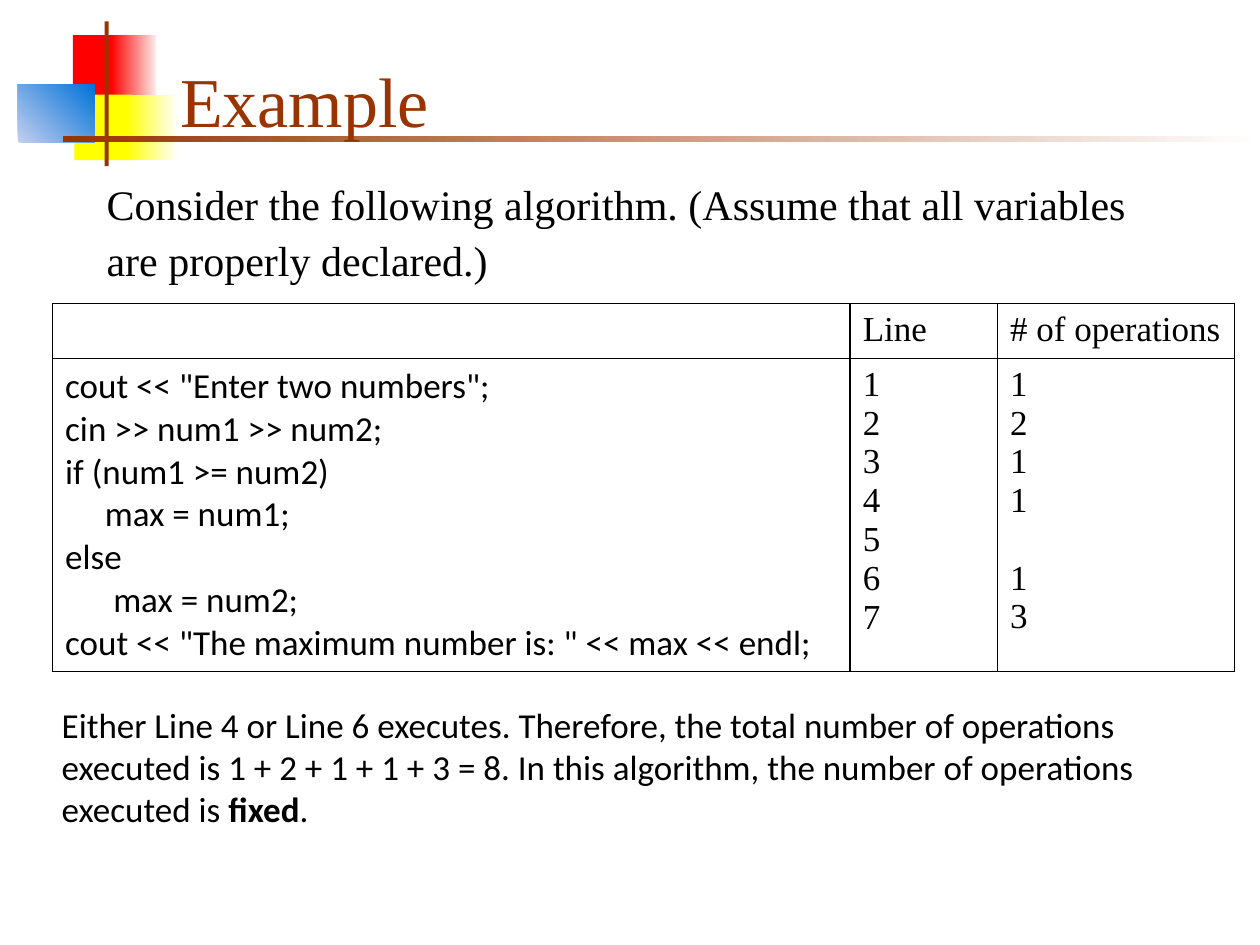
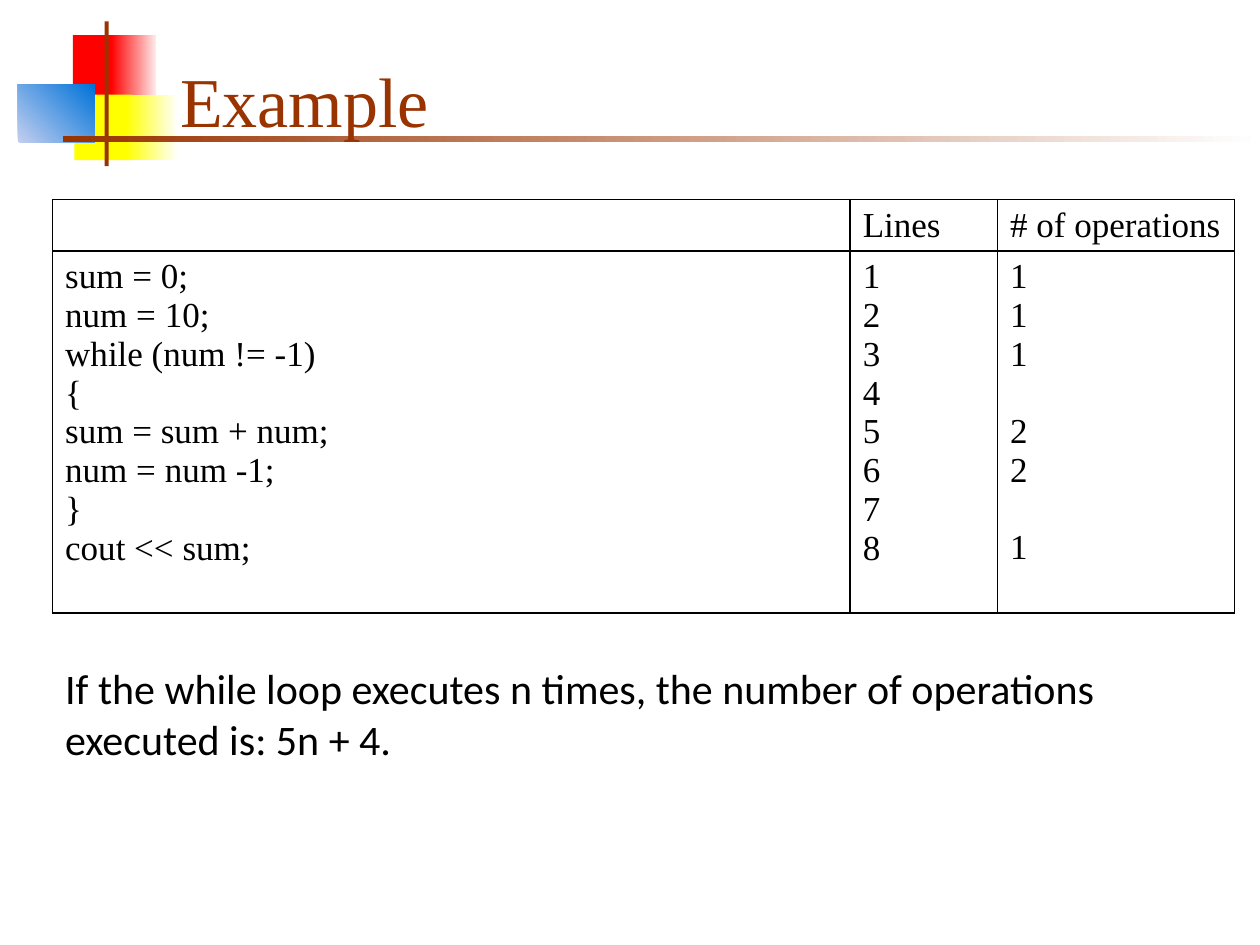
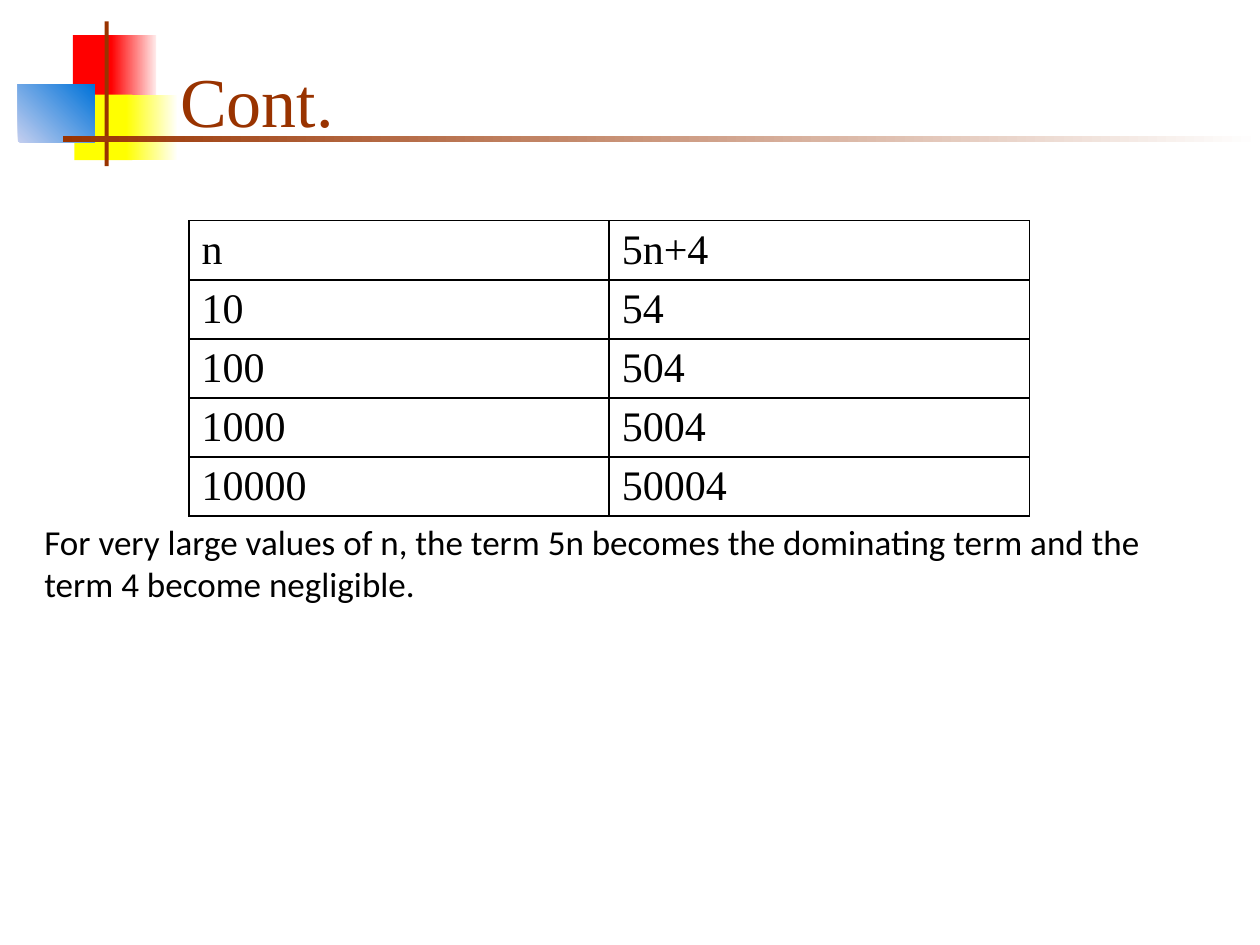
"""Build three slides that count the operations of simple algorithms."""
from lxml import etree
from pptx import Presentation
from pptx.dml.color import RGBColor
from pptx.enum.shapes import MSO_SHAPE
from pptx.enum.text import MSO_ANCHOR, MSO_AUTO_SIZE, PP_ALIGN
from pptx.oxml.ns import qn
from pptx.util import Cm, Pt

RECT = MSO_SHAPE.RECTANGLE
LEFT = PP_ALIGN.LEFT
TOP, BOTTOM = MSO_ANCHOR.TOP, MSO_ANCHOR.BOTTOM
NO_FIT = MSO_AUTO_SIZE.NONE

BLACK = RGBColor(0x00, 0x00, 0x00)
WHITE = RGBColor(0xFF, 0xFF, 0xFF)
BROWN = RGBColor(0x99, 0x33, 0x00)
RED = RGBColor(0xFF, 0x00, 0x00)
PINK = RGBColor(0xFF, 0xEA, 0xEA)
YELLOW = RGBColor(0xFF, 0xFF, 0x00)
CREAM = RGBColor(0xFF, 0xFF, 0xF8)
PALE_BLUE = RGBColor(0xC4, 0xCF, 0xEF)
BLUE = RGBColor(0x00, 0x73, 0xD9)

SERIF = "Times New Roman"
SANS = "Calibri"
LINE_PT = 22
CODE_COLS = [16.08, 2.97, 4.78]
INDENTS = {"max = num1;": 0.8, "max = num2;": 0.97}

MOTIF = [
    (1.47, 0.71, 0.89, 1.32, [RED], 0),
    (2.24, 0.71, 0.91, 1.32, [RED, PINK], 0),
    (1.5, 1.91, 1.17, 1.32, [YELLOW], 0),
    (2.54, 1.91, 1.02, 1.32, [YELLOW, CREAM], 0),
    (0.36, 1.7, 1.55, 1.17, [PALE_BLUE, BLUE], 45),
    (2.11, 0.43, 0.08, 2.92, [BROWN], 0),
    (1.27, 2.74, 24.13, 0.13, [BROWN, WHITE], 0),
]

SLIDES = [
    {
        "title": "Example",
        "intro": "Consider the following algorithm. (Assume that all variables "
                 "are properly declared.)",
        "note": [
            ("Either Line 4 or Line 6 executes. Therefore, the total number of "
             "operations executed is 1 + 2 + 1 + 1 + 3 = 8. In this algorithm, "
             "the number of operations executed is ", False),
            ("fixed", True),
            (".", False),
        ],
        "note_at": (0.99, 14.05, 23.83, 2.44),
        "note_size": 20,
        "table_at": (1.06, 6.12),
        "cols": CODE_COLS,
        "heights": [1.11, 6.18],
        "size": 20,
        "code_font": SANS,
        "rows": [
            ["", "Line", "# of operations"],
            ['cout << "Enter two numbers";\ncin >> num1 >> num2;\n'
             "if (num1 >= num2)\nmax = num1;\nelse\nmax = num2;\n"
             'cout << "The maximum number is: " << max << endl;',
             "1\n2\n3\n4\n5\n6\n7",
             "1\n2\n1\n1\n\n1\n3"],
        ],
    },
    {
        "title": "Example",
        "note": [("If the while loop executes n times, the number of operations "
                  "executed is: 5n + 4.", False)],
        "note_at": (1.06, 13.23, 23.83, 3.48),
        "note_size": 24,
        "table_at": (1.06, 4.02),
        "cols": CODE_COLS,
        "heights": [1.04, 7.3],
        "size": 20,
        "code_font": SERIF,
        "rows": [
            ["", "Lines", "# of operations"],
            ["sum = 0;\nnum = 10;\nwhile (num != -1)\n{\nsum = sum + num;\n"
             "num = num -1;\n}\ncout << sum;",
             "1\n2\n3\n4\n5\n6\n7\n8",
             "1\n1\n1\n\n2\n2\n\n1"],
        ],
    },
    {
        "title": "Cont.",
        "note": [("For very large values of n, the term 5n becomes the dominating "
                  "term and the term 4 become negligible.", False)],
        "note_at": (0.64, 10.36, 23.83, 2.74),
        "note_size": 20,
        "table_at": (3.81, 4.45),
        "cols": [8.47] * 2,
        "heights": [1.19] * 5,
        "size": 24,
        "code_font": SERIF,
        "rows": [["n", "5n+4"]] + [[str(n), str(5 * n + 4)]
                                   for n in (10, 100, 1000, 10000)],
    },
]


def write(p, text, size=20, font=SERIF, color=BLACK, bold=False,
          before=None, spacing=None, indent=0):
    """Add a formatted run to a left-aligned paragraph without a bullet."""
    p.alignment = LEFT
    if before is not None:
        p.space_before = Pt(before)
    if spacing:
        p.line_spacing = spacing
    pPr = p._p.get_or_add_pPr()
    pPr.set("marL", str(Cm(indent)))
    pPr.set("indent", "0")
    if pPr.find(qn("a:buNone")) is None:
        etree.SubElement(pPr, qn("a:buNone"))
    r = p.add_run()
    r.text = text
    r.font.size = Pt(size)
    r.font.name = font
    r.font.color.rgb = color
    r.font.bold = bold


prs = Presentation()
prs.slide_width, prs.slide_height = Cm(25.4), Cm(19.05)
layout = prs.slide_layouts[1]

for number, data in enumerate(SLIDES):
    s = prs.slides.add_slide(layout)

    if number == 0:
        for i, (x, y, w, h, colors, angle) in enumerate(MOTIF):
            sp = s.shapes.add_shape(RECT, Cm(x), Cm(y), Cm(w), Cm(h))
            sp.shadow.inherit = False
            sp.line.fill.background()
            if len(colors) == 1:
                sp.fill.solid()
                sp.fill.fore_color.rgb = colors[0]
            else:
                sp.fill.gradient()
                sp.fill.gradient_angle = angle
                for stop, color in zip(sp.fill.gradient_stops, colors):
                    stop.color.rgb = color
            sp.element.xpath(".//p:cNvPr")[0].set("id", str(20 + i))
            layout.shapes.element.insert(2 + i, sp.element)

    title, body = s.shapes.title, s.placeholders[1]
    boxes = [(title, (3.38, 0.64, 21.64, 2.34), BOTTOM),
             (body, data["note_at"], TOP)]
    if "intro" in data:
        intro = s.shapes.add_textbox(0, 0, 0, 0)
        boxes.append((intro, (1.9, 3.38, 22.2, 2.31), TOP))
        write(intro.text_frame.paragraphs[0], data["intro"], size=24, spacing=1.1)
    for sp, at, anchor in boxes:
        sp.left, sp.top, sp.width, sp.height = [Cm(v) for v in at]
        tf = sp.text_frame
        tf.word_wrap = True
        tf.auto_size = NO_FIT
        tf.vertical_anchor = anchor
    write(title.text_frame.paragraphs[0], data["title"], size=40, color=BROWN)
    for text, bold in data["note"]:
        write(body.text_frame.paragraphs[0], text, size=data["note_size"],
              font=SANS, bold=bold)

    x, y = data["table_at"]
    rows, cols, heights = data["rows"], data["cols"], data["heights"]
    table = s.shapes.add_table(len(rows), len(cols), Cm(x), Cm(y),
                               Cm(sum(cols)), Cm(sum(heights))).table
    table.first_row = table.horz_banding = False
    for column, width in zip(table.columns, cols):
        column.width = Cm(width)
    for row, height, texts in zip(table.rows, heights, rows):
        row.height = Cm(height)
        for c, (cell, text) in enumerate(zip(row.cells, texts)):
            tcPr = cell._tc.get_or_add_tcPr()
            for side in ("a:lnL", "a:lnR", "a:lnT", "a:lnB"):
                ln = etree.SubElement(tcPr, qn(side), w=str(Pt(1)))
                fill = etree.SubElement(ln, qn("a:solidFill"))
                etree.SubElement(fill, qn("a:srgbClr"), val=str(BLACK))
            cell.fill.background()
            p, gap = cell.text_frame.paragraphs[0], 0
            for k, line in enumerate(text.split("\n")):
                if not line:
                    gap += LINE_PT
                    continue
                if k:
                    p = cell.text_frame.add_paragraph()
                write(p, line, size=data["size"], before=gap,
                      font=SERIF if c else data["code_font"],
                      indent=INDENTS.get(line, 0))
                gap = 0

prs.save("out.pptx")
